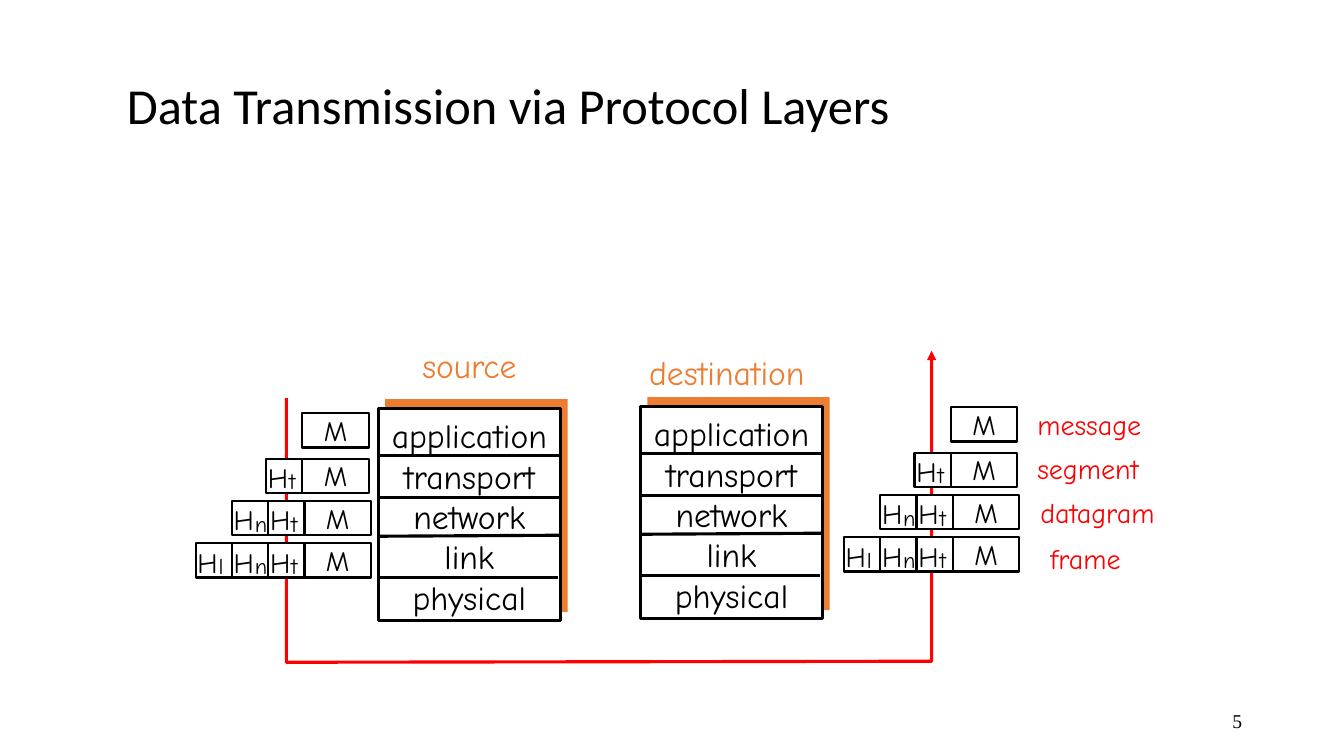
from lxml import etree
from pptx import Presentation
from pptx.dml.color import RGBColor
from pptx.enum.shapes import MSO_CONNECTOR, MSO_SHAPE
from pptx.enum.text import MSO_ANCHOR, PP_ALIGN
from pptx.oxml.ns import qn
from pptx.util import Pt

PX = 9144
COLORS = {"ink": "000000", "paper": "FFFFFF", "accent": "ED7D31", "path": "FF0000"}
LAYERS = ["application", "transport", "network", "link", "physical"]
DIVIDERS = [(-1, 47, 179, 47), (2, 89, 181, 89), (2, 127, 181, 126), (-1, 168, 178, 168)]
PACKET_ROWS = [(0, 0), (0, 45), (2, 87), (2, 129)]
HEADERS = "tnl"
HEADER_WIDTH, PACKET_HEIGHT = 36, 34


def rgb(name):
    """Return the named colour."""
    return RGBColor.from_string(COLORS[name])


def write(frame, text, size=20, font="Comic Neue", color="ink",
          align=PP_ALIGN.LEFT, anchor=MSO_ANCHOR.TOP, spacing=None, wrap=True):
    """Fill a text frame with one paragraph per line of text."""
    frame.word_wrap = wrap
    frame.vertical_anchor = anchor
    for index, line in enumerate(text.split("\n")):
        paragraph = frame.add_paragraph() if index else frame.paragraphs[0]
        paragraph.alignment = align
        if spacing:
            paragraph.line_spacing = spacing
        run = paragraph.add_run()
        run.text = line
        run.font.size = Pt(size)
        run.font.name = font
        run.font.color.rgb = rgb(color)


def label(slide, text, x, y, width, height, **style):
    """Place a text box."""
    box = slide.shapes.add_textbox(x * PX, y * PX, width * PX, height * PX)
    write(box.text_frame, text, **style)


def block(slide, x, y, width, height, fill="paper", weight=None):
    """Place a rectangle, outlined when a weight is given."""
    rect = slide.shapes.add_shape(MSO_SHAPE.RECTANGLE, x * PX, y * PX, width * PX, height * PX)
    rect.shadow.inherit = False
    rect.fill.solid()
    rect.fill.fore_color.rgb = rgb(fill)
    if weight:
        rect.line.color.rgb = rgb("ink")
        rect.line.width = Pt(weight)
    else:
        rect.line.fill.background()
    return rect


def protocol_stack(slide, x, y):
    """Draw the five layers of one host."""
    block(slide, x + 7, y - 9, 181, 211, fill="accent")
    block(slide, x, y, 181, 211, weight=2.25)
    for x1, y1, x2, y2 in DIVIDERS:
        divider = slide.shapes.add_connector(
            MSO_CONNECTOR.STRAIGHT, (x + x1) * PX, (y + y1) * PX, (x + x2) * PX, (y + y2) * PX)
        divider.line.color.rgb = rgb("ink")
        divider.line.width = Pt(2.25)
        etree.SubElement(divider._element.spPr, qn("a:effectLst"))
    label(slide, "\n".join(LAYERS), x - 3, y + 2, 187, 212, size=24, align=PP_ALIGN.CENTER)


def packets(slide, x, y):
    """Draw the message gaining one header per layer."""
    for count, (dx, dy) in enumerate(PACKET_ROWS):
        left, top = x + dx, y + dy
        message = block(slide, left, top, 66, PACKET_HEIGHT, weight=1.5)
        write(message.text_frame, "M", align=PP_ALIGN.CENTER, anchor=MSO_ANCHOR.MIDDLE, wrap=False)
        for header in HEADERS[:count]:
            left -= HEADER_WIDTH
            block(slide, left, top, HEADER_WIDTH, PACKET_HEIGHT, weight=1.5)
            label(slide, "H", left - 8, top - 3, 34, 43)
            label(slide, header, left + 13, top + 4, 32, 37, size=16)


def transmission_path(slide, x, y, width, height):
    """Draw the arrow down from the source and up past the destination."""
    right, bottom = x + width, y + height
    builder = slide.shapes.build_freeform(x, y + 47, scale=PX)
    builder.add_line_segments([(x, bottom), (right, bottom - 1), (right, y)], close=False)
    route = builder.convert_to_shape()
    route.shadow.inherit = False
    route.fill.background()
    route.line.color.rgb = rgb("path")
    route.line.width = Pt(2.25)
    etree.SubElement(route.line._get_or_add_ln(), qn("a:tailEnd"), type="triangle")


def unit_names(slide, x, y):
    """Name the data unit of each packet row."""
    units = [("message", 0, 0), ("segment", 0, 44), ("datagram", 3, 88), ("frame", 13, 133)]
    for unit, dx, dy in units:
        label(slide, unit, x + dx, y + dy, 142, 43, color="path")


def main():
    """Build and save the slide."""
    deck = Presentation()
    deck.slide_width, deck.slide_height = 1333 * PX, 750 * PX
    slide = deck.slides.add_slide(deck.slide_layouts[6])
    label(slide, "5", 942, 695, 300, 40, size=14, font="Times New Roman",
          align=PP_ALIGN.RIGHT, anchor=MSO_ANCHOR.MIDDLE)
    label(slide, "Data Transmission via Protocol Layers", 116, 45, 850, 125, size=36,
          font="Calibri", anchor=MSO_ANCHOR.MIDDLE, spacing=0.9)
    protocol_stack(slide, 375, 405)
    protocol_stack(slide, 635, 403)
    label(slide, "source", 409, 337, 123, 50, size=24, color="accent")
    label(slide, "destination", 634, 344, 194, 50, size=24, color="accent")
    transmission_path(slide, 284, 348, 640, 309)
    packets(slide, 300, 410)
    packets(slide, 943, 404)
    unit_names(slide, 1019, 399)
    deck.save("out.pptx")


if __name__ == "__main__":
    main()
